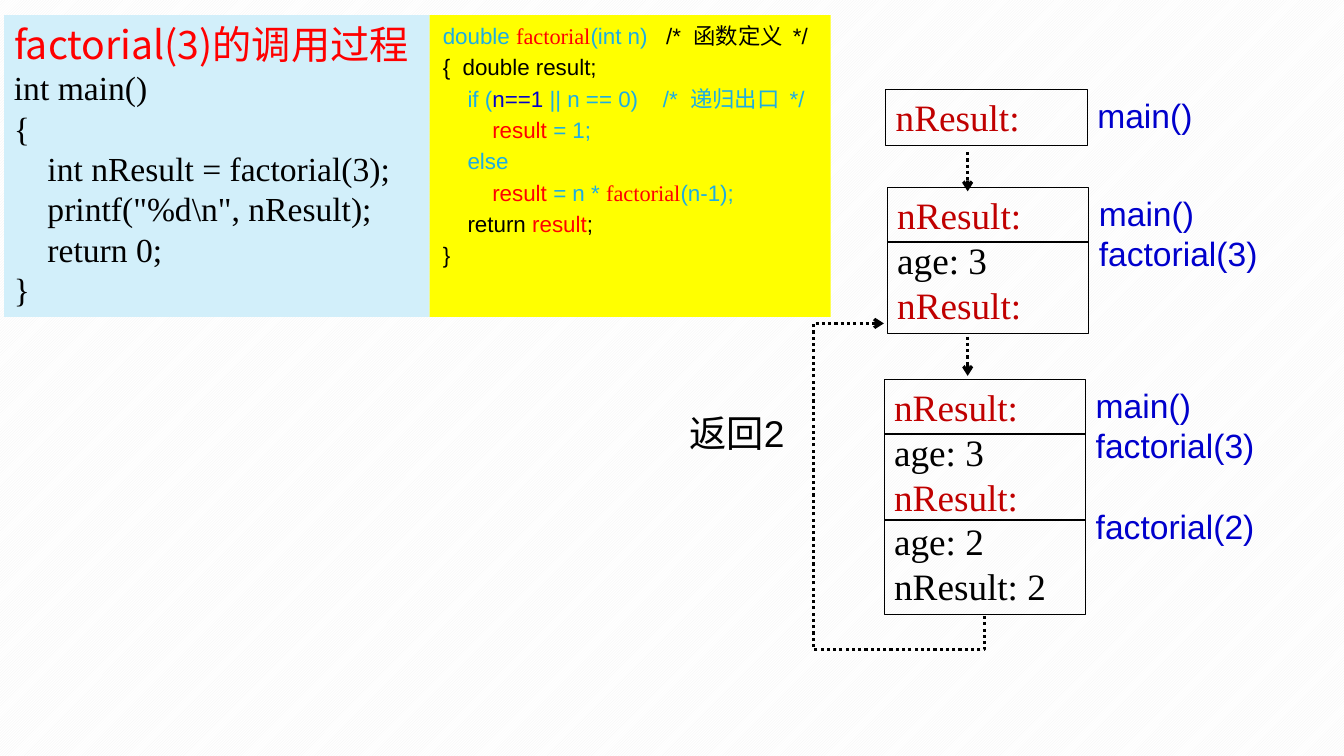
from lxml import etree
from pptx import Presentation
from pptx.dml.color import RGBColor
from pptx.enum import dml, shapes, text
from pptx.oxml.ns import qn
from pptx.util import Pt

BLACK = RGBColor(0, 0, 0)
WHITE = RGBColor(255, 255, 255)
GRAY = RGBColor(0xF2, 0xF2, 0xF2)
RED = RGBColor(255, 0, 0)
DARK = RGBColor(0xC0, 0, 0)
NAVY = RGBColor(0, 0, 0xCC)
CYAN = RGBColor(0x1C, 0xAD, 0xE4)
PALE = RGBColor(0xD2, 0xEF, 0xFA)
YELLOW = RGBColor(255, 255, 0)
SANS, SERIF, HAN = "Arial", "Times New Roman", "Noto Sans CJK SC"
LEAD = 1.2
ROW = 32
FRAME = 144

MAIN = [
    "int main()",
    "{",
    "    int nResult = factorial(3);",
    '    printf("%d\\n", nResult);',
    "    return 0;",
    "}",
]
CALL = ("factorial", RED, SERIF)
BODY = [
    [("double ", CYAN), CALL, ("(int n)   ", CYAN), ("/*  函数定义  */", BLACK)],
    [("{  double result;", BLACK)],
    [("    if (", CYAN), ("n==1 ", NAVY), ("|| n == 0)    /*  递归出口  */", CYAN)],
    [("        result", RED), (" = 1;", CYAN)],
    [("    else", CYAN)],
    [("        result", RED), (" = n * ", CYAN), CALL, ("(n-1);", CYAN)],
    [("    return ", BLACK), ("result", RED), (";", BLACK)],
    [("}", BLACK)],
]


def style(para, size, name, color=None):
    para.alignment = text.PP_ALIGN.LEFT
    para.line_spacing = Pt(round(size * LEAD, 1))
    para.font.size = Pt(size)
    para.font.name = name
    if color is not None:
        para.font.color.rgb = color


def write(frame, lines, size, name):
    for i, (line, color) in enumerate(lines):
        para = frame.paragraphs[0] if i == 0 else frame.add_paragraph()
        para.text = line
        style(para, size, name, color)


def rect(slide, x, y, w, h, fill=None):
    box = slide.shapes.add_shape(
        shapes.MSO_SHAPE.RECTANGLE, Pt(x), Pt(y), Pt(w), Pt(h))
    box.shadow.inherit = False
    if fill is None:
        box.fill.background()
        box.line.color.rgb = BLACK
        box.line.width = Pt(0.75)
    else:
        box.fill.solid()
        box.fill.fore_color.rgb = fill
        box.line.fill.background()
    box.text_frame.word_wrap = True
    box.text_frame.vertical_anchor = text.MSO_ANCHOR.TOP
    return box


def label(slide, x, y, w, h, lines, size, color):
    box = slide.shapes.add_textbox(Pt(x), Pt(y), Pt(w), Pt(h))
    box.text_frame.word_wrap = True
    write(box.text_frame, [(line, color) for line in lines], size, SANS)
    return box


def dots(shape):
    shape.line.color.rgb = BLACK
    shape.line.width = Pt(2.25)
    shape.line.dash_style = dml.MSO_LINE.ROUND_DOT
    etree.SubElement(shape.line._get_or_add_ln(), qn("a:tailEnd"), type="arrow")


def rule(slide, x, y, end, low):
    line = slide.shapes.add_connector(
        shapes.MSO_CONNECTOR.STRAIGHT, Pt(x), Pt(y), Pt(end), Pt(low))
    if x == end:
        dots(line)
    else:
        line.line.color.rgb = BLACK
        line.line.width = Pt(1.5)
    etree.SubElement(line._element.spPr, qn("a:effectLst"))


def panel(slide, x, y, w, h):
    box = rect(slide, x, y, w, h, PALE)
    box.text_frame.margin_top = Pt(37.2)
    write(box.text_frame, [(line, BLACK) for line in MAIN], 24, SERIF)
    head = slide.shapes.title
    head.left, head.top, head.width, head.height = Pt(x), Pt(y), Pt(w), Pt(40)
    head.element.getparent().append(head.element)
    frame = head.text_frame
    frame.auto_size = text.MSO_AUTO_SIZE.NONE
    frame.word_wrap = False
    frame.vertical_anchor = text.MSO_ANCHOR.TOP
    write(frame, [("factorial(3)的调用过程", RED)], 28, HAN)


def code(slide, x, y, w, h):
    frame = rect(slide, x, y, w, h, YELLOW).text_frame
    frame.margin_left = frame.margin_right = Pt(9.4)
    frame.margin_top = frame.margin_bottom = Pt(5)
    for i, parts in enumerate(BODY):
        para = frame.paragraphs[0] if i == 0 else frame.add_paragraph()
        props = para._p.get_or_add_pPr()
        props.set("marL", str(Pt(27)))
        props.set("indent", str(Pt(-27)))
        style(para, 16, SANS)
        if i:
            para.space_before = Pt(3.2)
        for word, color, *face in parts:
            run = para.add_run()
            run.text = word
            run.font.color.rgb = color
            if face:
                run.font.name = face[0]


def stack(slide, x, y, rows, calls):
    box = rect(slide, x, y, FRAME, ROW * len(rows) + 8)
    write(box.text_frame, rows, 26.6, SERIF)
    for k in range(len(rows) // 2):
        level = y + 39 + 61.2 * k
        rule(slide, x, level, x + FRAME, level)
    high = 7.2 + 28.8 * (len(calls) + (len(calls) > 2))
    note = label(slide, x + FRAME, y, 173, high, calls, 24, NAVY)
    for para in note.text_frame.paragraphs[2:]:
        para.space_before = Pt(28.8)


def back(slide, x, y, w, h):
    turn = x + w - 72
    path = slide.shapes.build_freeform(Pt(x + w - 50.4 + 50.4), Pt(y + h - 23.8))
    path.add_line_segments(
        [(Pt(x + w), Pt(y + h)), (Pt(x), Pt(y + h)), (Pt(x), Pt(y)),
         (Pt(turn), Pt(y))], close=False)
    loop = path.convert_to_shape()
    loop.shadow.inherit = False
    loop.fill.background()
    dots(loop)
    label(slide, x - 95.8, y + 58.3, 97.2, 39.6, ["返回2"], 26.6, BLACK)


def main():
    deck = Presentation()
    deck.slide_width, deck.slide_height = Pt(960), Pt(540)
    slide = deck.slides.add_slide(deck.slide_layouts[5])
    fill = slide.background.fill
    fill.patterned()
    fill.pattern = dml.MSO_PATTERN.LIGHT_UPWARD_DIAGONAL
    fill.fore_color.rgb = GRAY
    fill.back_color.rgb = WHITE

    wait = ("nResult:", DARK)
    three = [wait, ("age: 3", BLACK), wait]
    two = [("age: 2", BLACK), ("nResult: 2", BLACK)]
    calls = ["main()", "factorial(3)", "factorial(2)"]
    stack(slide, 632.7, 64, [wait], calls[:1])
    stack(slide, 633.8, 134, three, calls[:2])
    stack(slide, 631.6, 271.2, three + two, calls)
    for top in (108.7, 240.5):
        rule(slide, 691.2, top, 691.2, top + 28)
    back(slide, 581, 231, 122.4, 232.8)
    panel(slide, 2.9, 10.8, 304, 215.6)
    code(slide, 306.9, 10.8, 286.4, 215.6)
    deck.save("out.pptx")


if __name__ == "__main__":
    main()
